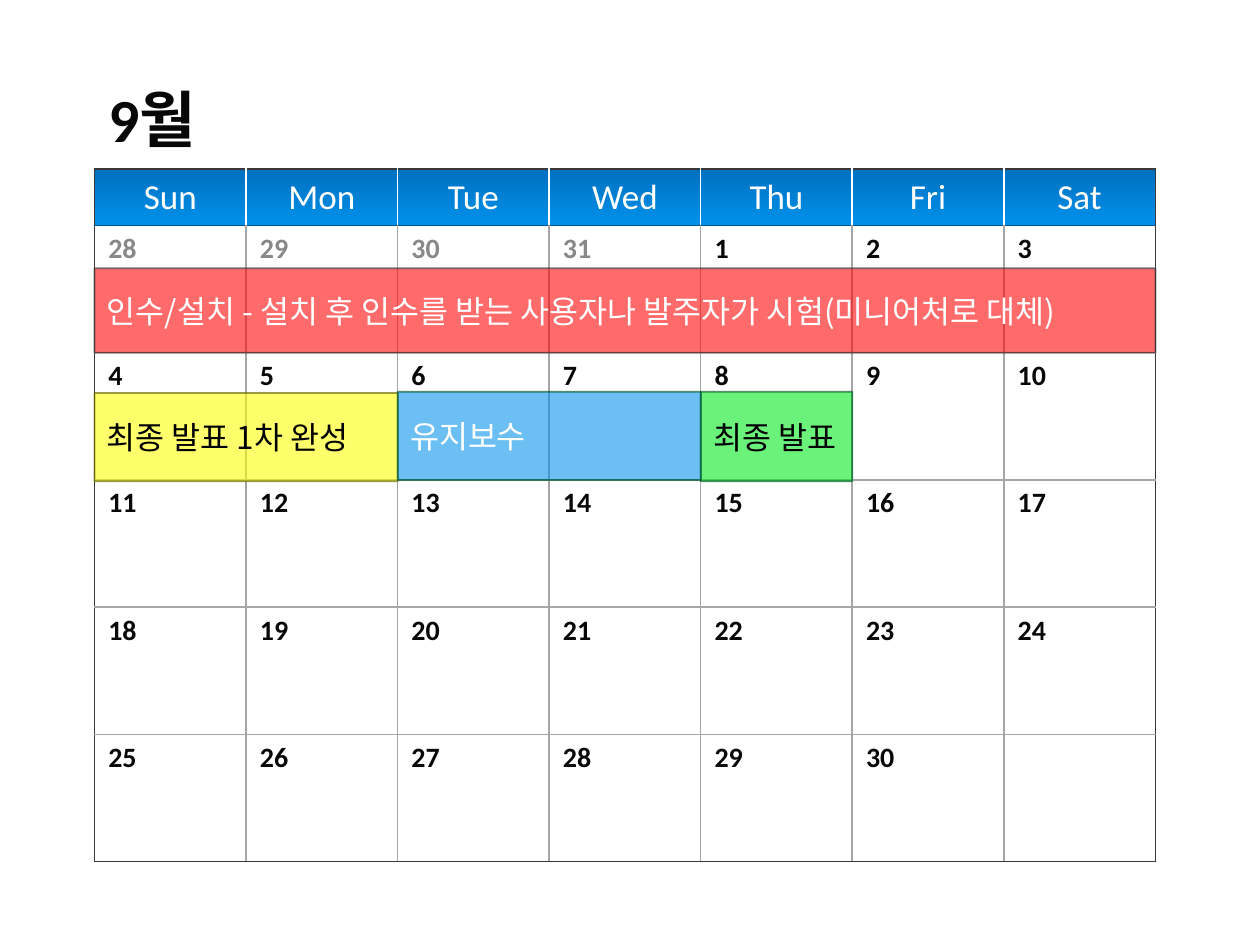
from dataclasses import dataclass
from typing import Optional

from lxml.etree import SubElement
from pptx import Presentation
from pptx.dml.color import RGBColor
from pptx.enum.shapes import MSO_SHAPE
from pptx.enum.text import MSO_ANCHOR, PP_ALIGN
from pptx.oxml import parse_xml
from pptx.oxml.ns import nsdecls, qn
from pptx.util import Inches, Pt

LEFT, TOP, WIDTH = 0.75, 0.5, 8.42
DAYS = ["Sun", "Mon", "Tue", "Wed", "Thu", "Fri", "Sat"]
COLUMN = WIDTH / len(DAYS)
TITLE_HEIGHT, HEADER_HEIGHT, WEEK_HEIGHT = 0.84, 0.45, 1.01
WEEKS = 5
FIRST_WEEK_TOP = TOP + TITLE_HEIGHT + HEADER_HEIGHT
PREVIOUS_MONTH = [28, 29, 30, 31]
DATES = PREVIOUS_MONTH + list(range(1, 31))
WHITE, BLACK, INK, MUTED = "FFFFFF", "000000", "080808", "888888"
FRAME, GRID, HEADER_RULE = "383838", "A6A6A6", "005490"
HEADER_GRADIENT = ["0070C0", "0091EA"]
LATIN, HANGUL = "Calibri", "Noto Sans CJK JP"


@dataclass
class Event:
    text: str
    week: int
    day: int
    days: int
    offset: float
    height: float
    fill: str
    line: str
    color: str


EVENTS = [
    Event("최종 발표", 1, 4, 1, 0.31, 0.71, "00EA1C", "005828", BLACK),
    Event("인수/설치 - 설치 후 인수를 받는 사용자나 발주자가 시험(미니어처로 대체)",
          0, 0, 7, 0.34, 0.67, "FF0000", FRAME, WHITE),
    Event("최종 발표 1차 완성", 1, 0, 2, 0.32, 0.7, "FFFF00", "666600", BLACK),
    Event("유지보수", 1, 2, 2, 0.31, 0.7, "0091EA", "005828", WHITE),
]


def rgb(value: str) -> RGBColor:
    return RGBColor.from_string(value)


def write(frame, text: str, *, size: float, color: str, bold: bool = False,
          font: str = LATIN, align: Optional[PP_ALIGN] = PP_ALIGN.LEFT) -> None:
    paragraph = frame.paragraphs[0]
    paragraph.alignment = align
    run = paragraph.add_run()
    run.text = text
    run.font.size, run.font.bold, run.font.name = Pt(size), bold, font
    run.font.color.rgb = rgb(color)
    SubElement(run.font._element, qn("a:ea"), typeface=HANGUL)


def set_borders(cell, left: str, right: str, top: str, bottom: str) -> None:
    properties = cell._tc.get_or_add_tcPr()
    sides = zip(["lnL", "lnR", "lnT", "lnB"], [left, right, top, bottom])
    for position, (side, color) in enumerate(sides):
        properties.insert(position, parse_xml(
            f'<a:{side} {nsdecls("a")} w="{Pt(0.96)}"><a:solidFill>'
            f'<a:srgbClr val="{color}"/></a:solidFill></a:{side}>'))


def set_opacity(color_format, percent: int) -> None:
    color = color_format._xFill.find(qn("a:srgbClr"))
    SubElement(color, qn("a:alpha"), val=str(percent * 1000))


def fill_header(cell) -> None:
    cell.fill.gradient()
    cell.fill.gradient_angle = 270
    for stop, color in zip(cell.fill.gradient_stops, HEADER_GRADIENT):
        stop.color.rgb = rgb(color)


def draw_calendar(slide) -> None:
    heights = [TITLE_HEIGHT, HEADER_HEIGHT] + [WEEK_HEIGHT] * WEEKS
    calendar = slide.shapes.add_table(
        len(heights), len(DAYS), Inches(LEFT), Inches(TOP),
        Inches(WIDTH), Inches(sum(heights))).table
    calendar.first_row = calendar.horz_banding = False
    for column in calendar.columns:
        column.width = Inches(COLUMN)
    for row, height in zip(calendar.rows, heights):
        row.height = Inches(height)
    for cell in calendar.iter_cells():
        cell.margin_left = cell.margin_right = Inches(0.11)
        cell.fill.background()

    last = len(DAYS) - 1
    title = calendar.cell(0, 0)
    title.merge(calendar.cell(0, last))
    title.vertical_anchor = MSO_ANCHOR.MIDDLE
    write(title.text_frame, "9월", size=35, color=INK, bold=True)

    for day, name in enumerate(DAYS):
        set_borders(calendar.cell(0, day), WHITE, WHITE, WHITE, FRAME)
        header = calendar.cell(1, day)
        header.vertical_anchor = MSO_ANCHOR.MIDDLE
        fill_header(header)
        set_borders(header, WHITE if day else FRAME,
                    WHITE if day < last else FRAME, FRAME, HEADER_RULE)
        write(header.text_frame, name, size=20, color=WHITE, align=PP_ALIGN.CENTER)

        for week in range(WEEKS):
            cell = calendar.cell(week + 2, day)
            set_borders(cell, GRID if day else FRAME,
                        GRID if day < last else FRAME,
                        GRID if week else HEADER_RULE,
                        GRID if week < WEEKS - 1 else FRAME)
            index = week * len(DAYS) + day
            if index < len(DATES):
                write(cell.text_frame, str(DATES[index]), size=16, bold=True,
                      color=MUTED if index < len(PREVIOUS_MONTH) else INK)


def draw_event(slide, event: Event) -> None:
    bar = slide.shapes.add_shape(
        MSO_SHAPE.PENTAGON,
        Inches(LEFT + event.day * COLUMN),
        Inches(FIRST_WEEK_TOP + event.week * WEEK_HEIGHT + event.offset),
        Inches(event.days * COLUMN), Inches(event.height))
    bar.adjustments[0] = 0
    bar.shadow.inherit = False
    bar.fill.solid()
    bar.fill.fore_color.rgb = rgb(event.fill)
    set_opacity(bar.fill.fore_color, 58)
    bar.line.width = Pt(1)
    bar.line.color.rgb = rgb(event.line)
    set_opacity(bar.line.color, 65)
    bar.text_frame.word_wrap = True
    bar.text_frame.vertical_anchor = MSO_ANCHOR.MIDDLE
    write(bar.text_frame, event.text, size=18, color=event.color, font=HANGUL)


def main() -> None:
    presentation = Presentation()
    presentation.slide_width, presentation.slide_height = Inches(10), Inches(7.5)
    slide = presentation.slides.add_slide(presentation.slide_layouts[6])
    draw_calendar(slide)
    for event in EVENTS:
        draw_event(slide, event)
    presentation.save("out.pptx")


if __name__ == "__main__":
    main()
